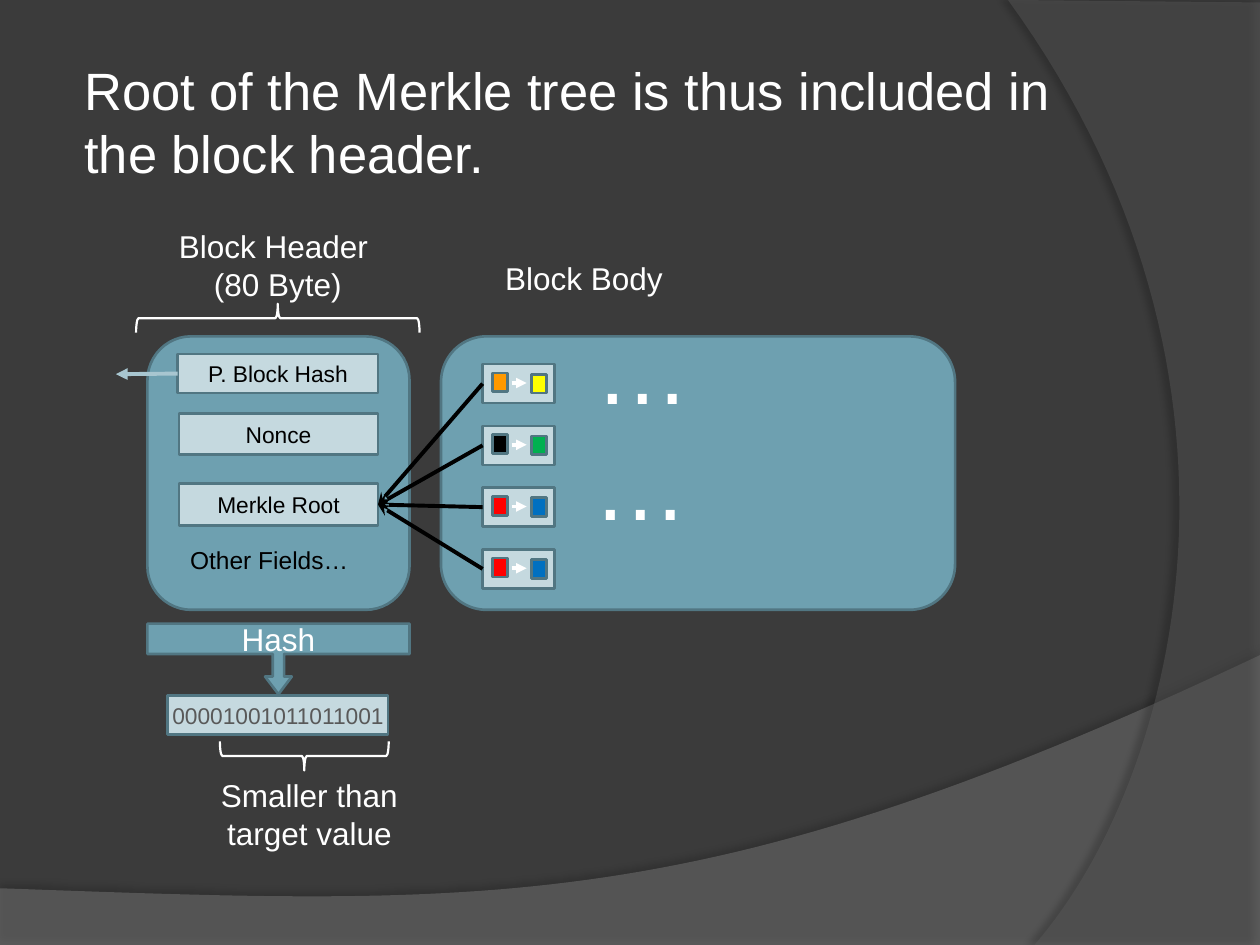
"""Build a slide showing the Merkle root inside a block header."""
from dataclasses import dataclass

from lxml import etree
from pptx import Presentation
from pptx.dml.color import RGBColor
from pptx.enum.shapes import MSO_CONNECTOR, MSO_SHAPE
from pptx.enum.text import MSO_ANCHOR, PP_ALIGN
from pptx.oxml.ns import qn
from pptx.shapes.autoshape import Shape
from pptx.shapes.connector import Connector
from pptx.shapes.shapetree import GroupShapes, SlideShapes
from pptx.util import Inches, Pt

RECT, ROUND = MSO_SHAPE.RECTANGLE, MSO_SHAPE.ROUNDED_RECTANGLE
BRACE, CALL = MSO_SHAPE.RIGHT_BRACE, MSO_SHAPE.DOWN_ARROW_CALLOUT
STRAIGHT = MSO_CONNECTOR.STRAIGHT
LEFT, MID = PP_ALIGN.LEFT, PP_ALIGN.CENTER
TOP, CENTER = MSO_ANCHOR.TOP, MSO_ANCHOR.MIDDLE
LEFT_SIDE, RIGHT_SIDE = 1, 3

Point = tuple[float, float]
Frame = tuple[float, float, float, float]
Tree = SlideShapes | GroupShapes


@dataclass(frozen=True)
class Theme:
    font: str = "Arial"
    back: str = "3B3B3B"
    panel: str = "6EA0B0"
    edge: str = "517682"
    field: str = "C5D9DF"
    link: str = "A8C6D0"
    white: str = "FFFFFF"
    black: str = "000000"
    gray: str = "595959"
    title: int = 30
    label: int = 18
    note: int = 14
    small: int = 13
    dots: int = 54


@dataclass(frozen=True)
class Swoosh:
    start: Point
    curve: tuple[Point, Point, Point]
    corners: tuple[Point, ...]
    fill: str
    alpha: int
    shade: int
    dist: float
    angle: int


@dataclass(frozen=True)
class Label:
    text: str
    frame: Frame
    size: int
    color: str = "FFFFFF"
    align: PP_ALIGN = MID
    inset: float = 0.1
    before: float = 0


@dataclass(frozen=True)
class Field:
    text: str
    frame: Frame
    color: str = "000000"


THEME = Theme()
SWOOSHES = (
    Swoosh((10, 5.2), ((5.59, 7.29), (3.91, 7.19), (0, 7.05)),
           ((0, 7.5), (10, 7.5)), "7F7F7F", 45, 35, 3.5, 270),
    Swoosh((8.21, 7.5), ((9.35, 6.19), (10.18, 3), (8, 0)),
           ((10, 0.02), (10, 7.5)), "5E5E5E", 40, 45, 4, 180),
)
PANELS = ((3.5, 2.67, 4.08, 2.17), (1.17, 2.67, 2.08, 2.17))
PRIOR = Field("P. Block Hash", (1.41, 2.81, 1.59, 0.31))
NONCE = Field("Nonce", (1.42, 3.28, 1.58, 0.33))
ROOT = Field("Merkle Root", (1.42, 3.84, 1.58, 0.33))
DIGEST = Field("00001001011011001", (1.33, 5.52, 1.75, 0.31), THEME.gray)
LABELS = (
    Label("Root of the Merkle tree is thus included in the block header.",
          (0.53, 0.41, 8.17, 2.1), THEME.title, align=LEFT, inset=0.14, before=4),
    Label("Block Header \n(80 Byte)", (1.08, 1.75, 2.25, 0.71), THEME.label),
    Label("Block Body", (3.51, 2.01, 2.25, 0.4), THEME.label),
    Label("Smaller than target value", (1.33, 6.11, 2.25, 0.71), THEME.label),
    Label("Other Fields…", (1.41, 4.28, 2.08, 0.57), THEME.note, THEME.black, LEFT),
    Label("…", (4.63, 2.41, 1.83, 1.01), THEME.dots, align=LEFT),
    Label("…", (4.61, 3.33, 1.83, 1.01), THEME.dots, align=LEFT),
)
BRACES = (((2.09, 1.4, 0.23, 2.25), 270), ((2.3, 5.33, 0.23, 1.34), 90))
TRADES = (("FF9900", "FFFF00"), ("000000", "00B050"),
          ("FF0000", "0070C0"), ("FF0000", "0070C0"))
TRADE_X, TRADE_Y, PITCH = 3.83, 2.89, 0.49


def rgb(color: str) -> RGBColor:
    return RGBColor.from_string(color)


def write(shape: Shape, label: Label, anchor: MSO_ANCHOR = TOP) -> None:
    frame = shape.text_frame
    frame.word_wrap = True
    frame.vertical_anchor = anchor
    frame.margin_left = Inches(label.inset)
    frame.margin_right = Inches(min(label.inset, 0.1))
    para = frame.paragraphs[0]
    para.alignment = label.align
    para.space_before = Pt(label.before)
    for row, text in enumerate(label.text.split("\n")):
        if row:
            para.add_line_break()
        run = para.add_run()
        run.text = text
        run.font.name = THEME.font
        run.font.size = Pt(label.size)
        run.font.color.rgb = rgb(label.color)


def add_label(tree: Tree, label: Label) -> None:
    write(tree.add_textbox(*map(Inches, label.frame)), label)


def add_box(tree: Tree, frame: Frame, fill: str, kind: MSO_SHAPE = RECT) -> Shape:
    box = tree.add_shape(kind, *map(Inches, frame))
    box.shadow.inherit = False
    box.fill.solid()
    box.fill.fore_color.rgb = rgb(fill)
    box.line.color.rgb = rgb(THEME.edge)
    box.line.width = Pt(1.5)
    return box


def add_field(tree: Tree, field: Field) -> Shape:
    box = add_box(tree, field.frame, THEME.field)
    write(box, Label(field.text, field.frame, THEME.small, field.color, inset=0), CENTER)
    return box


def add_arrow(tree: Tree, start: Point, end: Point, color: str,
              width: float, head: str = "triangle") -> Connector:
    arrow = tree.add_connector(STRAIGHT, *map(Inches, start + end))
    arrow.line.color.rgb = rgb(color)
    arrow.line.width = Pt(width)
    etree.SubElement(arrow.line._get_or_add_ln(), qn("a:tailEnd"), type=head)
    etree.SubElement(arrow.element.spPr, qn("a:effectLst"))
    return arrow


def add_brace(tree: Tree, frame: Frame, turn: int) -> None:
    brace = add_box(tree, frame, THEME.white, BRACE)
    brace.fill.background()
    brace.line.color.rgb = rgb(THEME.white)
    brace.line.width = Pt(1.25)
    brace.rotation = turn


def bend(points: tuple[Point, ...], t: float) -> Point:
    while len(points) > 1:
        points = tuple((a[0] + (b[0] - a[0]) * t, a[1] + (b[1] - a[1]) * t)
                       for a, b in zip(points, points[1:]))
    return points[0]


def add_swoosh(tree: Tree, item: Swoosh, steps: int = 60) -> None:
    nodes = (item.start, *item.curve)
    trace = [bend(nodes, step / steps) for step in range(1, steps + 1)]
    pen = tree.build_freeform(*map(Inches, item.start))
    pen.add_line_segments([(Inches(x), Inches(y)) for x, y in (*trace, *item.corners)])
    shape = pen.convert_to_shape()
    shape.shadow.inherit = False
    shape.fill.solid()
    shape.fill.fore_color.rgb = rgb(item.fill)
    shape.line.fill.background()
    props = shape.element.spPr
    tint = props.find(qn("a:solidFill")).find(qn("a:srgbClr"))
    etree.SubElement(tint, qn("a:alpha"), val=str(item.alpha * 1000))
    shade = etree.SubElement(props.find(qn("a:effectLst")), qn("a:outerShdw"),
                             blurRad=str(Pt(4)), dist=str(Pt(item.dist)),
                             dir=str(item.angle * 60000), rotWithShape="0")
    ink = etree.SubElement(shade, qn("a:srgbClr"), val=THEME.black)
    etree.SubElement(ink, qn("a:alpha"), val=str(item.shade * 1000))


def add_trade(tree: Tree, top: float, colors: tuple[str, str]) -> Shape:
    group = tree.add_group_shape().shapes
    box = add_box(group, (TRADE_X, top, 0.57, 0.31), THEME.field)
    for color, dx, dy in zip(colors, (0.08, 0.39), (0.07, 0.08)):
        add_box(group, (TRADE_X + dx, top + dy, 0.12, 0.15), color)
    level = top + 0.15
    add_arrow(group, (TRADE_X + 0.23, level), (TRADE_X + 0.35, level), THEME.white, 2)
    return box


def main() -> None:
    deck = Presentation()
    deck.slide_width, deck.slide_height = Inches(10), Inches(7.5)
    slide = deck.slides.add_slide(deck.slide_layouts[6])
    slide.background.fill.solid()
    slide.background.fill.fore_color.rgb = rgb(THEME.back)
    tree = slide.shapes
    for item in SWOOSHES:
        add_swoosh(tree, item)
    for frame in PANELS:
        add_box(tree, frame, THEME.panel, ROUND)
    prior, _, root = [add_field(tree, field) for field in (PRIOR, NONCE, ROOT)]
    add_arrow(tree, (1.41, 2.97), (0.92, 2.97), THEME.link, 2.25).begin_connect(prior, LEFT_SIDE)
    trades = [add_trade(tree, TRADE_Y + row * PITCH, pair) for row, pair in enumerate(TRADES)]
    for trade in trades:
        arrow = add_arrow(tree, (TRADE_X, 3), (3, 4), THEME.black, 2.25, "stealth")
        arrow.begin_connect(trade, LEFT_SIDE)
        arrow.end_connect(root, RIGHT_SIDE)
    place = (1.17, 4.95, 2.08, 0.56)
    hasher = add_box(tree, place, THEME.panel, CALL)
    for slot, value in enumerate((0.16, 0.19, 0.25, 0.43)):
        hasher.adjustments[slot] = value
    write(hasher, Label("Hash", place, THEME.label), CENTER)
    add_field(tree, DIGEST)
    for frame, turn in BRACES:
        add_brace(tree, frame, turn)
    for label in LABELS:
        add_label(tree, label)
    deck.save("out.pptx")


if __name__ == "__main__":
    main()
